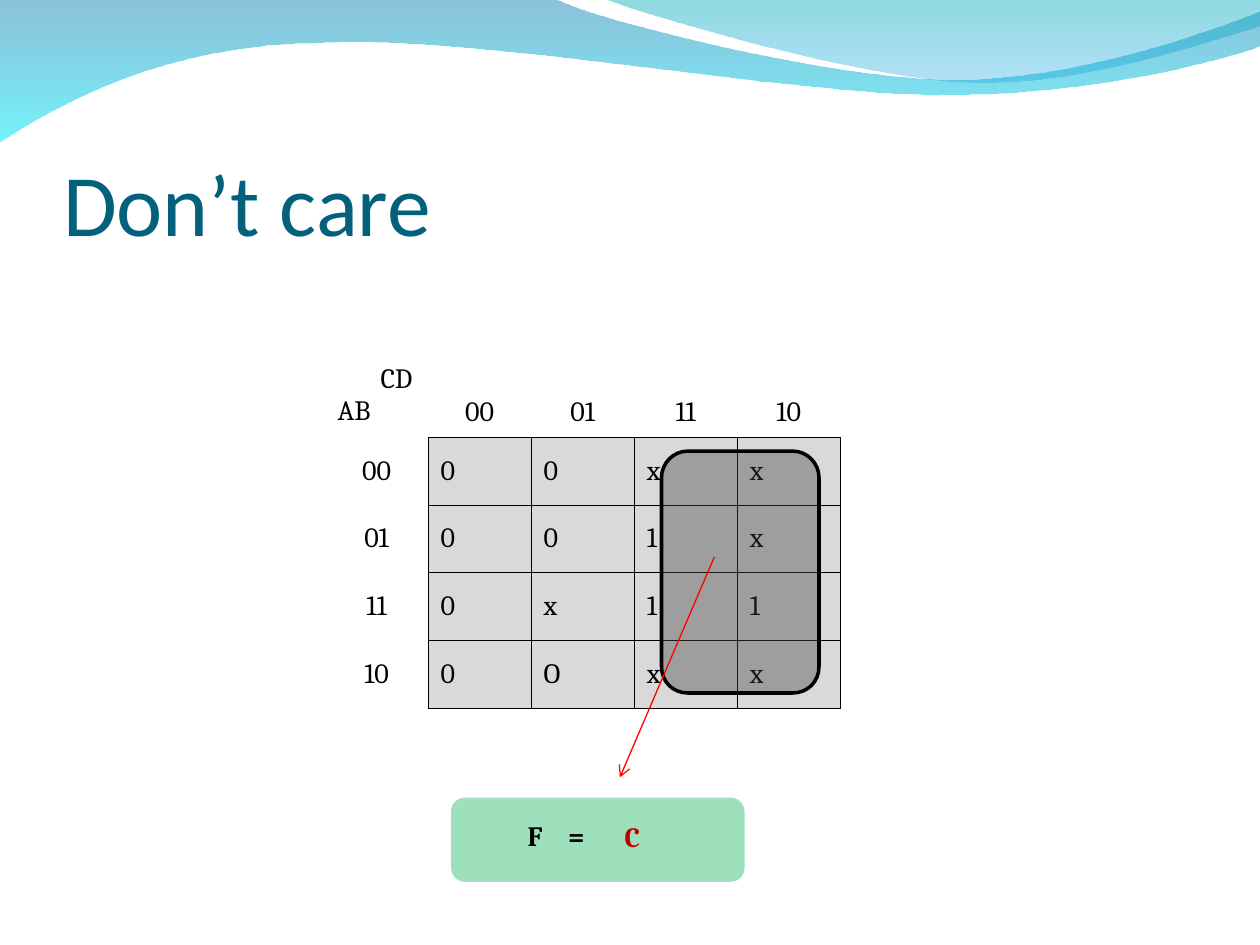
"""Build the "Don't care" Karnaugh map slide."""
from lxml import etree
from pptx import Presentation
from pptx import util as u
from pptx.dml.color import RGBColor
from pptx.enum import shapes, text
from pptx.oxml.ns import qn

COLORS = {
    "title": "04617B", "ink": "000000", "cell": "D9D9D9", "loop": "404040",
    "answer": "00B050", "term": "C00000", "arrow": "FF0000",
    "wave_top": "0079AF", "wave_end": "00EBF8",
    "crest_top": "00ADB6", "crest_end": "009BE5",
}
NO_STYLE = "{2D5ABB26-0587-4C30-8999-92F81FD0307C}"


def set_color(color, name, opacity=100):
    """Set a colour by name, with its opacity in percent."""
    color.rgb = RGBColor.from_string(COLORS[name])
    if opacity < 100:
        clr = color._xFill.find(qn("a:srgbClr"))
        etree.SubElement(clr, qn("a:alpha"), val=str(opacity * 1000))


def set_font(p, size, name="Cambria", color="ink", bold=False):
    """Format every run of a paragraph alike."""
    p.font.size, p.font.name, p.font.bold = u.Pt(size), name, bold
    set_color(p.font.color, color)


prs = Presentation()
prs.slide_width, prs.slide_height = u.Inches(10), u.Inches(7.5)
s = prs.slides.add_slide(prs.slide_layouts[5])

wave = [
    [(0, -0.01)],
    [(4.4, -0.01)],
    [(4.76, 0.17), (6.64, 0.63), (7.58, 0.63)],
    [(8.53, 0.63), (9.58, 0.26), (10, 0.09)],
    [(10.01, 0.36)],
    [(9.83, 0.44), (8.7, 0.76), (7.46, 0.75)],
    [(6.22, 0.75), (3.82, 0.28), (2.57, 0.34)],
    [(1.29, 0.35), (0.46, 0.83), (-0.01, 1.13)],
]
crest = [
    [(4.79, -0.01)],
    [(5.09, 0.11), (6.82, 0.62), (7.69, 0.65)],
    [(8.56, 0.69), (9.61, 0.32), (10, 0.21)],
    [(10, 0)],
]
loop = [
    [(5.46, 3.58)],
    [(5.34, 3.58), (5.25, 3.68), (5.25, 3.79)],
    [(5.25, 5.29)],
    [(5.25, 5.41), (5.34, 5.5), (5.46, 5.5)],
    [(6.29, 5.5)],
    [(6.41, 5.5), (6.5, 5.41), (6.5, 5.29)],
    [(6.5, 3.79)],
    [(6.5, 3.68), (6.41, 3.58), (6.29, 3.58)],
]
outlines = []
for segments in (wave, crest, loop):
    points = [(u.Inches(x), u.Inches(y)) for segment in segments for x, y in segment]
    fb = s.shapes.build_freeform(*points[0])
    fb.add_line_segments(points[1:])
    sp = fb.convert_to_shape()
    sp.shadow.inherit = False
    lines = iter(list(sp._element.iter(qn("a:lnTo"))))
    for segment in segments[1:]:
        parts = [next(lines) for _ in segment]
        if len(parts) == 3:
            curve = etree.Element(qn("a:cubicBezTo"))
            parts[0].addprevious(curve)
            for part in parts:
                curve.append(part[0])
                part.getparent().remove(part)
    outlines.append(sp)

gradients = ([("wave_top", 45), ("wave_end", 55)], [("crest_top", 45), ("crest_end", 30)])
for sp, stops in zip(outlines, gradients):
    sp.line.fill.background()
    sp.fill.gradient()
    sp.fill.gradient_angle = 270
    for stop, (name, opacity) in zip(sp.fill.gradient_stops, stops):
        set_color(stop.color, name, opacity)

sp = s.shapes.add_shape(shapes.MSO_SHAPE.ROUNDED_RECTANGLE,
                        *map(u.Inches, (3.58, 6.33, 2.33, 0.67)))
sp.adjustments[0] = 0.167
sp.shadow.inherit = False
sp.fill.solid()
set_color(sp.fill.fore_color, "answer", 38)
sp.line.fill.background()

title = s.shapes.title
title.left, title.top, title.width, title.height = map(u.Inches, (0.5, 0.77, 9, 1.25))
tf = title.text_frame
tf.text = "Don’t care"
tf.vertical_anchor = text.MSO_ANCHOR.BOTTOM
tf.margin_left = tf.margin_right = tf.margin_bottom = 0
tf.paragraphs[0].alignment = text.PP_ALIGN.LEFT
set_font(tf.paragraphs[0], 50, "Calibri", "title")
s.shapes._spTree.append(title._element)

rows = [
    ["CD\nAB", "00", "01", "11", "10"],
    ["00", "0", "0", "x", "x"],
    ["01", "0", "0", "1", "x"],
    ["11", "0", "x", "1", "1"],
    ["10", "0", "O", "x", "x"],
]
table = s.shapes.add_table(5, 5, *map(u.Inches, (2.58, 2.83, 4.09, 2.79))).table
table.first_row = table.horz_banding = False
table._tbl.tblPr.find(qn("a:tableStyleId")).text = NO_STYLE
for col in table.columns:
    col.width = u.Inches(4.09 / 5)
for r, row in enumerate(rows):
    table.rows[r].height = u.Inches(2.15 / 4 if r else 0.64)
    for c, value in enumerate(row):
        cell = table.cell(r, c)
        cell.text = value
        cell.vertical_anchor = text.MSO_ANCHOR.MIDDLE
        for p in cell.text_frame.paragraphs:
            if (r == 0) != (c == 0):
                p.alignment = text.PP_ALIGN.CENTER
            set_font(p, 16)
        if r == 0 and c:
            cell.vertical_anchor = text.MSO_ANCHOR.BOTTOM
            cell.margin_bottom = u.Inches(0.07)
        if not (r and c):
            cell.fill.background()
            continue
        for side in ("lnL", "lnR", "lnT", "lnB"):
            ln = etree.SubElement(cell._tc.get_or_add_tcPr(), qn(f"a:{side}"), w=str(u.Pt(0.45)))
            fill = etree.SubElement(ln, qn("a:solidFill"))
            etree.SubElement(fill, qn("a:srgbClr"), val=COLORS["ink"])
        cell.fill.solid()
        set_color(cell.fill.fore_color, "cell")
corner = table.cell(0, 0)
corner.vertical_anchor = text.MSO_ANCHOR.TOP
corner.text_frame.paragraphs[0]._p.get_or_add_pPr().set("indent", str(u.Inches(0.34)))

sp = outlines[2]
sp.fill.solid()
set_color(sp.fill.fore_color, "loop", 38)
set_color(sp.line.color, "ink")
sp.line.width = u.Pt(2)
s.shapes._spTree.append(sp._element)

for box, value, color in (((4.86, 6.43, 0.58, 0.42), "C", "term"),
                          ((4.09, 6.42, 0.67, 0.42), "F\t=", "ink")):
    tf = s.shapes.add_textbox(*map(u.Inches, box)).text_frame
    tf.word_wrap = True
    tf.margin_right = 0
    tf.vertical_anchor = text.MSO_ANCHOR.MIDDLE
    p = tf.paragraphs[0]
    p.text = value
    if "\t" in value:
        tabs = etree.SubElement(p._p.get_or_add_pPr(), qn("a:tabLst"))
        etree.SubElement(tabs, qn("a:tab"), pos=str(u.Inches(0.32)), algn="l")
    set_font(p, 16, color=color, bold=True)

arrow = s.shapes.add_connector(shapes.MSO_CONNECTOR.STRAIGHT,
                               *map(u.Inches, (5.67, 4.42, 4.92, 6.17)))
set_color(arrow.line.color, "arrow")
arrow.line.width = u.Pt(0.75)
etree.SubElement(arrow.line._get_or_add_ln(), qn("a:tailEnd"), type="arrow")
etree.SubElement(arrow._element.spPr, qn("a:effectLst"))

prs.save("out.pptx")
